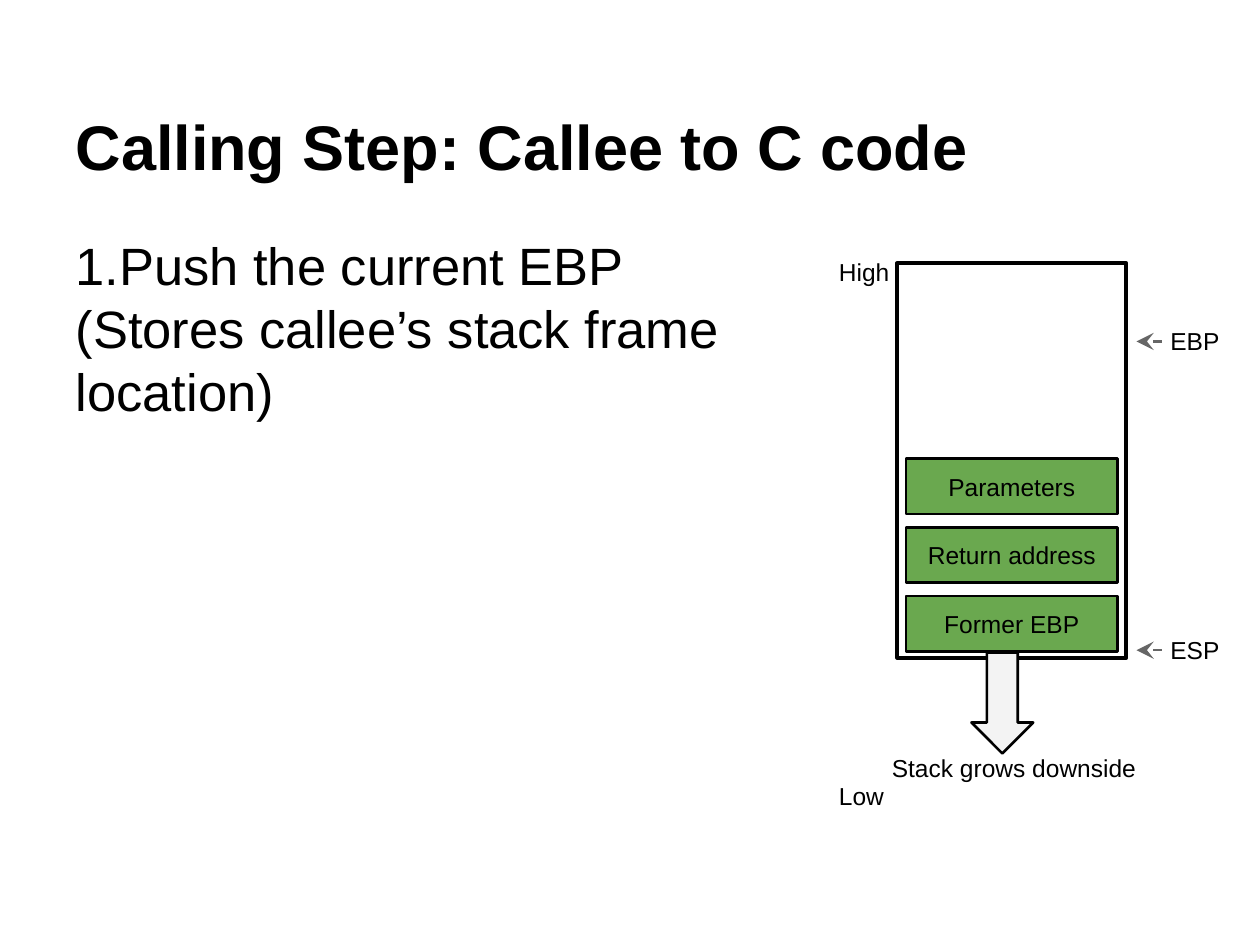
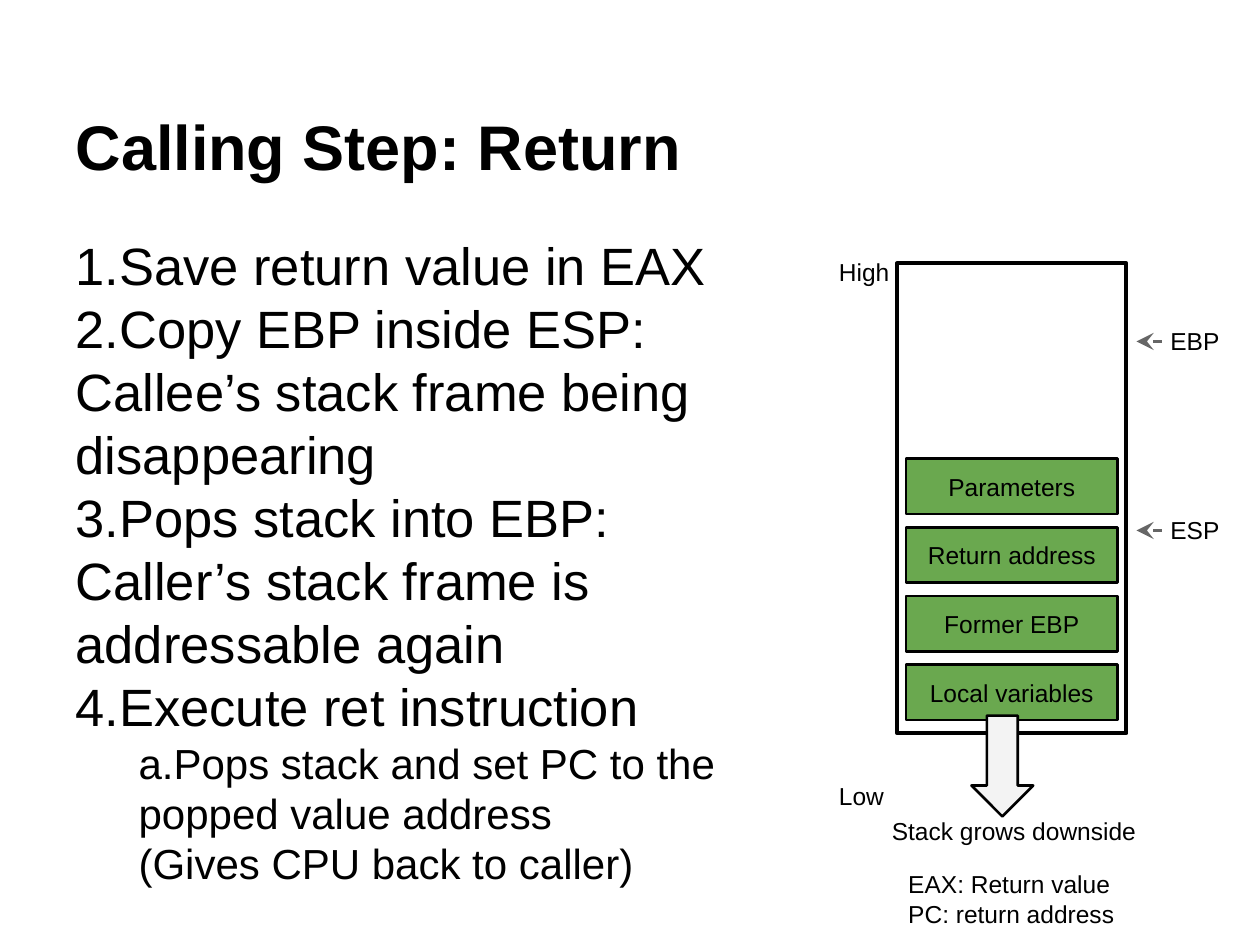
from pptx import Presentation
from pptx import util as u
from pptx.dml.color import RGBColor
from pptx.enum import shapes, text
from pptx.oxml.ns import qn
from lxml import etree
from copy import deepcopy

# Content: body items are (level, words); stack lengths are inches
SLIDES = [
    {
        "title": "Calling Step: Callee to C code",
        "body_width": 5.54,
        "body": [(0, "Push the current EBP (Stores callee’s stack frame location)")],
        "cells": ["Parameters", "Return address", "Former EBP"],
        "stack_height": 3.13,
        "arrow_top": 5.18,
        "pointers": {"EBP": 2.71, "ESP": 5.16},
        "registers": [],
    },
    {
        "title": "Calling Step: Return",
        "body_width": 5.42,
        "body": [
            (0, "Save return value in EAX"),
            (0, "Copy EBP inside ESP: Callee’s stack frame being disappearing"),
            (0, "Pops stack into EBP: Caller’s stack frame is addressable again"),
            (0, "Execute ret instruction"),
            (1, "Pops stack and set PC to the popped value address\n"
                "(Gives CPU back to caller)"),
        ],
        "cells": ["Parameters", "Return address", "Former EBP", "Local variables"],
        "stack_height": 3.73,
        "arrow_top": 5.68,
        "pointers": {"EBP": 2.71, "ESP": 4.21},
        "registers": ["EAX: Return value", "PC: return address"],
    },
]

# Shared look
BLACK, GREEN, PALE, GREY = "000000", "6AA84F", "F3F3F3", "666666"
TITLE = {"size": u.Pt(36), "bold": True}
BODY = [
    {"size": u.Pt(30), "indent": 0, "number": "arabicPeriod"},
    {"size": u.Pt(24), "indent": 0.5, "number": "alphaLcPeriod"},
]
LABEL = {"size": u.Pt(14)}
STACK_LEFT, STACK_TOP, STACK_WIDTH = 7.12, 2.09, 1.82
CELL_LEFT, CELL_TOP, CELL_WIDTH, CELL_HEIGHT = 7.19, 3.64, 1.68, 0.44
CELL_STEP = 0.545
POINTER_FROM, POINTER_TO = 9.22, 9.02


def color(value):
    return RGBColor.from_string(value)


def inches(*lengths):
    return [u.Inches(length) for length in lengths]


def place(item, *at):
    for name, value in zip(("left", "top", "width", "height"), inches(*at)):
        setattr(item, name, value)


def set_frame(item, anchor):
    frame = item.text_frame
    values = {"word_wrap": True, "auto_size": text.MSO_AUTO_SIZE.NONE,
              "vertical_anchor": anchor}
    for side in ("left", "top", "right", "bottom"):
        values["margin_" + side] = u.Inches(0.1)
    for name, value in values.items():
        setattr(frame, name, value)
    return frame


def write(frame, lines, style, align=text.PP_ALIGN.LEFT):
    """Put each line in its own paragraph and format its runs."""
    for index, line in enumerate(lines):
        para = frame.add_paragraph() if index else frame.paragraphs[0]
        para.text = line
        format_para(para, style, align)


def format_para(para, style, align=text.PP_ALIGN.LEFT):
    para.alignment = align
    para.line_spacing = 1.0
    para.space_before = para.space_after = u.Pt(0)
    for span in para.runs:
        span.font.name = "Arial"
        span.font.color.rgb = color(BLACK)
        for name, value in style.items():
            setattr(span.font, name, value)
    # Line breaks take the size of the words around them
    for line_break in para._p.findall(qn("a:br")):
        line_break.append(deepcopy(para.runs[0]._r.rPr))


def number_para(para, kind, indent):
    props = para._p.get_or_add_pPr()
    props.set("marL", str(u.Inches(indent)))
    props.set("indent", "0")
    bullet_color = etree.SubElement(props, qn("a:buClr"))
    etree.SubElement(bullet_color, qn("a:srgbClr"), val=BLACK)
    etree.SubElement(props, qn("a:buFont"), typeface="Arial")
    etree.SubElement(props, qn("a:buAutoNum"), type=kind)


def add_label(page, lines, *at):
    box = page.shapes.add_textbox(*inches(*at))
    write(set_frame(box, text.MSO_ANCHOR.TOP), lines, LABEL)


def add_block(page, kind, at, fill=None, width=1.5):
    block = page.shapes.add_shape(kind, *inches(*at))
    block.shadow.inherit = False
    if fill:
        block.fill.solid()
        block.fill.fore_color.rgb = color(fill)
    else:
        block.fill.background()
    block.line.color.rgb = color(BLACK)
    block.line.width = u.Pt(width)
    return block


def add_pointer(page, name, y):
    arrow = page.shapes.add_connector(
        shapes.MSO_CONNECTOR.STRAIGHT, *inches(POINTER_FROM, y, POINTER_TO, y))
    arrow.line.color.rgb = color(GREY)
    arrow.line.width = u.Pt(1.5)
    etree.SubElement(arrow.line._get_or_add_ln(), qn("a:tailEnd"),
                     type="stealth", w="lg", len="lg")
    etree.SubElement(arrow._element.spPr, qn("a:effectLst"))
    add_label(page, [name], 9.19, y - 0.22, 1, 0.64)


def add_stack(page, content):
    add_block(page, shapes.MSO_SHAPE.RECTANGLE,
              (STACK_LEFT, STACK_TOP, STACK_WIDTH, content["stack_height"]), width=2.25)
    for name, top in (("High", 1.94), ("Low", 6.1)):
        add_label(page, [name], 6.56, top, 0.62, 0.64)
    for row, name in enumerate(content["cells"]):
        cell = add_block(
            page, shapes.MSO_SHAPE.RECTANGLE,
            (CELL_LEFT, CELL_TOP + row * CELL_STEP, CELL_WIDTH, CELL_HEIGHT), GREEN)
        write(set_frame(cell, text.MSO_ANCHOR.MIDDLE), [name], LABEL,
              text.PP_ALIGN.CENTER)
    # Growth arrow and its caption
    top = content["arrow_top"]
    add_block(page, shapes.MSO_SHAPE.DOWN_ARROW, (7.71, top, 0.49, 0.8), PALE)
    add_label(page, ["Stack grows downside"], 6.98, top + 0.7, 2.24, 0.6)
    for name, y in content["pointers"].items():
        add_pointer(page, name, y)
    if content["registers"]:
        add_label(page, content["registers"], 7.11, 6.8, 2.24, 0.64)


def add_page(deck, content):
    page = deck.slides.add_slide(deck.slide_layouts[1])
    title, body = page.placeholders
    place(title, 0.5, 0.3, 9, 1.25)
    write(set_frame(title, text.MSO_ANCHOR.BOTTOM), [content["title"]], TITLE)

    # Numbered steps
    place(body, 0.5, 1.75, content["body_width"], 5.43)
    frame = set_frame(body, text.MSO_ANCHOR.TOP)
    for index, (level, words) in enumerate(content["body"]):
        para = frame.add_paragraph() if index else frame.paragraphs[0]
        para.text, para.level = words, level
        style = BODY[level]
        format_para(para, {"size": style["size"]})
        number_para(para, style["number"], style["indent"])

    add_stack(page, content)


def main():
    deck = Presentation()
    deck.slide_width, deck.slide_height = inches(10, 7.5)
    for content in SLIDES:
        add_page(deck, content)
    deck.save("out.pptx")


if __name__ == "__main__":
    main()
